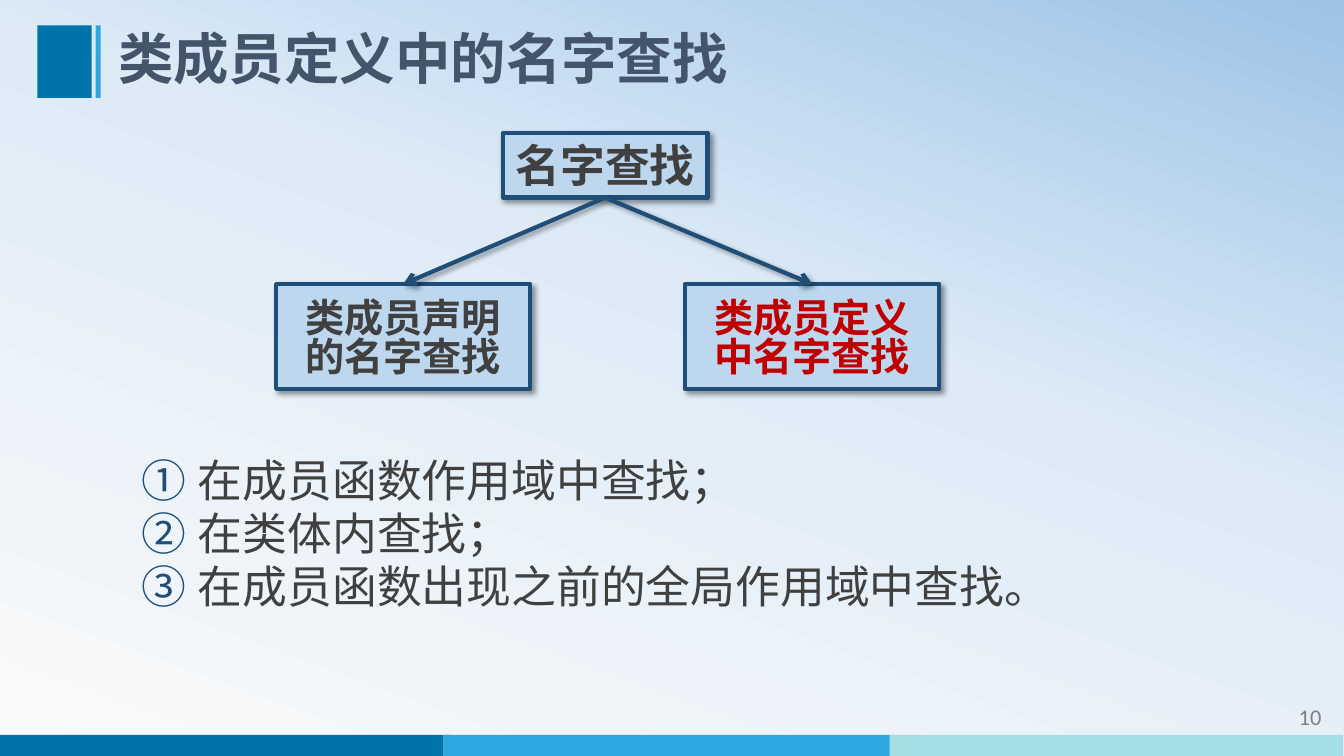
from dataclasses import dataclass

from copy import deepcopy
from lxml.etree import SubElement
from pptx import Presentation
from pptx.dml.color import RGBColor
from pptx.enum.shapes import MSO_CONNECTOR, MSO_SHAPE
from pptx.enum.text import MSO_ANCHOR, MSO_AUTO_SIZE, PP_ALIGN
from pptx.oxml.ns import qn
from pptx.shapes.autoshape import Shape
from pptx.slide import Slide
from pptx.text.text import _Paragraph
from pptx.util import Cm, Pt


@dataclass(frozen=True)
class Theme:
    cjk: str = "Noto Sans CJK SC"
    latin: str = "Calibri"
    heading: str = "44546A"
    ink: str = "404040"
    accent: str = "C00000"
    edge: str = "1F4E79"
    node: str = "BDD7EE"
    number: str = "808080"
    deep: str = "0073AB"
    bright: str = "2EA7E0"
    pale: str = "A5DEE4"
    backdrop: tuple[tuple[float, str], ...] = (
        (0, "FAFAFA"), (0.58, "DEEBF7"), (1, "9DC3E6"))
    title_size: float = 39.6
    large: float = 32
    medium: float = 28
    small: float = 16
    leading: float = 0.83


THEME = Theme()


@dataclass(frozen=True)
class Area:
    left: float
    top: float
    width: float
    height: float

    def lengths(self) -> tuple[Cm, Cm, Cm, Cm]:
        return Cm(self.left), Cm(self.top), Cm(self.width), Cm(self.height)


@dataclass(frozen=True)
class Band:
    area: Area
    color: str


@dataclass(frozen=True)
class Topic:
    text: str
    area: Area
    size: float
    color: str


BANDS = [
    Band(Area(11.25 * i - 0.08, 18.52, 11.43, 0.53), color)
    for i, color in enumerate((THEME.deep, THEME.bright, THEME.pale))
] + [
    Band(Area(0.94, 0.64, 1.37, 1.83), THEME.deep),
    Band(Area(2.41, 0.64, 0.13, 1.83), THEME.bright),
]
LOOKUP = Topic("名字查找", Area(12.67, 3.35, 5.16, 1.63), THEME.large, THEME.ink)
BRANCHES = [
    Topic("类成员声明的名字查找", Area(6.96, 7.16, 6.4, 2.64), THEME.medium, THEME.ink),
    Topic("类成员定义中名字查找", Area(17.27, 7.16, 6.4, 2.64), THEME.medium, THEME.accent),
]
STEPS = [
    "在成员函数作用域中查找；",
    "在类体内查找；",
    "在成员函数出现之前的全局作用域中查找。",
]


def style(paragraph: _Paragraph, face: str, size: float, color: str, bold: bool = False) -> None:
    for run in paragraph.runs:
        run.font.name = face
        run.font.size = Pt(size)
        run.font.bold = bold
        run.font.color.rgb = RGBColor.from_string(color)
        SubElement(run.font._element, qn("a:ea"), typeface=face)


def place(shape: Shape, area: Area) -> None:
    shape.left, shape.top, shape.width, shape.height = area.lengths()
    shape.text_frame.auto_size = MSO_AUTO_SIZE.NONE
    shape.text_frame.word_wrap = True


def add_shadow(properties) -> None:
    effects = SubElement(properties, qn("a:effectLst"))
    shadow = SubElement(
        effects, qn("a:outerShdw"), blurRad=str(Pt(4)), dist=str(Pt(3)),
        dir="2700000", algn="tl", rotWithShape="0")
    black = SubElement(shadow, qn("a:srgbClr"), val="000000")
    SubElement(black, qn("a:alpha"), val="40000")


def paint_background(slide: Slide) -> None:
    fill = slide.background.fill
    fill.gradient()
    fill.gradient_angle = 70
    stops = slide.element.find(".//" + qn("a:gsLst"))
    stops.append(deepcopy(stops[0]))
    for stop, (position, color) in zip(fill.gradient_stops, THEME.backdrop):
        stop.color.rgb = RGBColor.from_string(color)
        stop.position = position


def add_band(slide: Slide, band: Band) -> None:
    bar = slide.shapes.add_shape(MSO_SHAPE.RECTANGLE, *band.area.lengths())
    bar.shadow.inherit = False
    bar.fill.solid()
    bar.fill.fore_color.rgb = RGBColor.from_string(band.color)
    bar.line.fill.background()


def add_topic(slide: Slide, topic: Topic) -> Shape:
    node = slide.shapes.add_shape(MSO_SHAPE.RECTANGLE, *topic.area.lengths())
    node.fill.solid()
    node.fill.fore_color.rgb = RGBColor.from_string(THEME.node)
    node.line.color.rgb = RGBColor.from_string(THEME.edge)
    node.line.width = Pt(3)
    add_shadow(node.element.spPr)
    frame = node.text_frame
    frame.word_wrap = True
    frame.vertical_anchor = MSO_ANCHOR.MIDDLE
    frame.margin_top, frame.margin_bottom = Cm(0.25), Cm(0.05)
    frame.text = topic.text
    label = frame.paragraphs[0]
    label.alignment = PP_ALIGN.CENTER
    label.line_spacing = THEME.leading
    style(label, THEME.cjk, topic.size, topic.color, bold=True)
    return node


def add_arrow(slide: Slide, parent: Shape, child: Shape) -> None:
    arrow = slide.shapes.add_connector(MSO_CONNECTOR.STRAIGHT, 0, 0, 0, 0)
    arrow.begin_connect(parent, 2)
    arrow.end_connect(child, 0)
    arrow.line.color.rgb = RGBColor.from_string(THEME.edge)
    arrow.line.width = Pt(3)
    SubElement(arrow.line._get_or_add_ln(), qn("a:tailEnd"), type="arrow")
    add_shadow(arrow._element.spPr)


def fill_title(title: Shape) -> None:
    place(title, Area(2.72, 0.64, 27.58, 1.83))
    title.text_frame.vertical_anchor = MSO_ANCHOR.MIDDLE
    title.text_frame.text = "类成员定义中的名字查找"
    heading = title.text_frame.paragraphs[0]
    heading.alignment = PP_ALIGN.LEFT
    heading.line_spacing = 0.9
    style(heading, THEME.cjk, THEME.title_size, THEME.heading, bold=True)


def fill_steps(body: Shape) -> None:
    place(body, Area(2.39, 11.5, 27.94, 5.13))
    body.text_frame.text = "\n".join(STEPS)
    for index, step in enumerate(body.text_frame.paragraphs):
        step.level = 1
        step.line_spacing = THEME.leading
        step.space_before = Pt(6 if index else 0)
        properties = step._p.get_or_add_pPr()
        properties.set("marL", str(Cm(2.34)))
        properties.set("indent", str(Cm(-1.42)))
        tint = SubElement(properties, qn("a:buClr"))
        SubElement(tint, qn("a:srgbClr"), val=THEME.edge)
        SubElement(properties, qn("a:buFont"), typeface=THEME.cjk)
        SubElement(properties, qn("a:buAutoNum"), type="circleNumDbPlain")
        style(step, THEME.cjk, THEME.large, THEME.ink)


def add_page_number(slide: Slide) -> None:
    page = slide.shapes.add_textbox(*Area(29.51, 17.55, 4.04, 1.02).lengths())
    page.text_frame.word_wrap = True
    page.text_frame.vertical_anchor = MSO_ANCHOR.MIDDLE
    page.text_frame.text = "10"
    number = page.text_frame.paragraphs[0]
    number.alignment = PP_ALIGN.RIGHT
    style(number, THEME.latin, THEME.small, THEME.number)


def main() -> None:
    deck = Presentation()
    deck.slide_width, deck.slide_height = Cm(33.87), Cm(19.05)
    slide = deck.slides.add_slide(deck.slide_layouts[1])
    paint_background(slide)
    for band in BANDS:
        add_band(slide, band)
    add_page_number(slide)
    fill_title(slide.shapes.title)
    fill_steps(slide.placeholders[1])
    branches = [add_topic(slide, topic) for topic in BRANCHES]
    lookup = add_topic(slide, LOOKUP)
    for branch in branches:
        add_arrow(slide, lookup, branch)
    deck.save("out.pptx")


if __name__ == "__main__":
    main()
